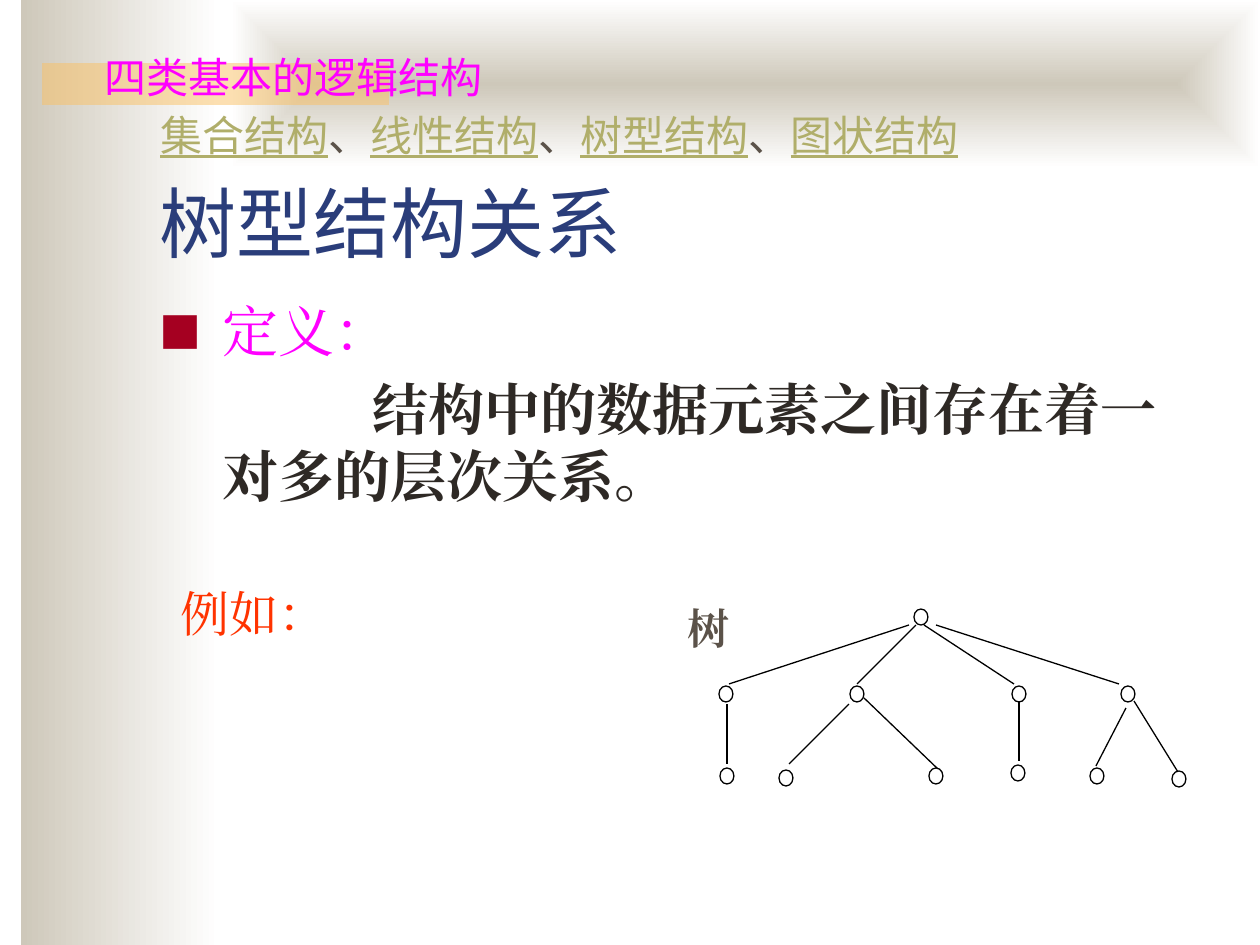
from dataclasses import dataclass

from lxml import etree
from pptx import Presentation
from pptx.dml.color import RGBColor
from pptx.enum.shapes import MSO_CONNECTOR as CONN, MSO_SHAPE as SHAPE
from pptx.enum.text import MSO_ANCHOR as ANCHOR
from pptx.oxml import parse_xml
from pptx.oxml.ns import nsdecls, qn
from pptx.util import Pt

PX = 914400 / 126


@dataclass(frozen=True)
class Theme:
    """Colours, fonts and type sizes of the slide."""
    sand: str = "CEC8BA"
    white: str = "FFFFFF"
    amber: str = "FAC164"
    navy: str = "2A3D7A"
    magenta: str = "FF00FF"
    crimson: str = "A50021"
    ink: str = "2E2925"
    brown: str = "5B5249"
    olive: str = "B0AE6A"
    orange: str = "FF3300"
    black: str = "000000"
    sans: str = "Noto Sans CJK SC"
    serif: str = "Times New Roman"
    header: str = "Arial"
    title_size: int = 44
    body_size: int = 32
    example_size: int = 28
    small_size: int = 24


T = Theme()
rgb = RGBColor.from_string


def box(*lengths):
    """Turn pixel lengths into EMU."""
    return [round(n * PX) for n in lengths]


def style(p, size, name, color, bold=False, before=0):
    """Set the font of a paragraph and its space before, in points."""
    f = p.font
    f.size, f.name, f.bold = Pt(size), name, bold
    f.color.rgb = rgb(color)
    etree.SubElement(f._element, qn("a:ea"), typeface=name)
    p.space_before = Pt(before)


prs = Presentation()
prs.slide_width, prs.slide_height = box(1260, 945)
s = prs.slides.add_slide(prs.slide_layouts[5])

# Backdrop
bands = []
for area in [(21, 0, 199, 945), (231, 0, 1029, 168), (42, 63, 347, 42)]:
    sp = s.shapes.add_shape(SHAPE.RECTANGLE, *box(*area))
    sp.shadow.inherit = False
    sp.line.fill.background()
    bands.append(sp)
side, top, accent = bands
for sp in (side, top):
    sp.fill.gradient()
    for stop, color, pos in zip(sp.fill.gradient_stops, (T.sand, T.white), (0, 1)):
        stop.color.rgb, stop.position = rgb(color), pos
side.fill.gradient_angle = 0
lin = top._element.spPr.find(".//" + qn("a:lin"))
lin.getparent().replace(lin, parse_xml(
    f'<a:path {nsdecls("a")} path="shape">'
    '<a:fillToRect l="50000" t="50000" r="50000" b="50000"/></a:path>'))
accent.fill.solid()
accent.fill.fore_color.rgb = rgb(T.amber)
accent_color = accent._element.spPr.find(".//" + qn("a:srgbClr"))
etree.SubElement(accent_color, qn("a:alpha"), val="50000")

# Title
title = s.shapes.title
s.shapes._spTree.append(title._element)
title.left, title.top, title.width, title.height = box(147, 116, 1071, 158)
tf = title.text_frame
tf.text = "树型结构关系"
tf.vertical_anchor = ANCHOR.BOTTOM
p = tf.paragraphs[0]
style(p, T.title_size, T.sans, T.navy)
p._p.get_or_add_pPr().set("algn", "l")

# Definition
tf = s.shapes.add_textbox(*box(147, 290, 1071, 255)).text_frame
tf.word_wrap = True
tf.text = "定义：\n结构中的数据元素之间存在着一对多的层次关系。"
term, meaning = tf.paragraphs
style(term, T.body_size, T.serif, T.magenta, before=6.4)
style(meaning, T.body_size, T.serif, T.ink, bold=True, before=6.4)
for p, indent in ((term, -63), (meaning, 150)):
    pPr = p._p.get_or_add_pPr()
    for key, n in zip(("marL", "indent"), box(63, indent)):
        pPr.set(key, str(n))
default_font = term._p.pPr.find(qn("a:defRPr"))
for tag in (f'buClr {nsdecls("a")}><a:srgbClr val="{T.crimson}"/></a:buClr>',
            f'buSzPct {nsdecls("a")} val="75000"/>',
            f'buFont {nsdecls("a")} typeface="{T.sans}"/>',
            f'buChar {nsdecls("a")} char="■"/>'):
    default_font.addprevious(parse_xml("<a:" + tag))

# Example
tf = s.shapes.add_textbox(*box(168, 577, 242, 72)).text_frame
tf.word_wrap = True
tf.text = "例如："
style(tf.paragraphs[0], T.example_size, T.serif, T.orange)

# Tree
tree = s.shapes.add_group_shape().shapes
edges = [(909, 625, 729, 684), (936, 625, 1119, 684), (916, 625, 857, 684),
         (924, 625, 1014, 684), (727, 704, 727, 764), (849, 704, 789, 764),
         (864, 698, 939, 770), (1019, 702, 1019, 761), (1126, 708, 1096, 766),
         (1134, 701, 1178, 772)]
nodes = [(921, 617), (726, 694), (857, 694), (1019, 694), (1128, 694), (727, 776),
         (786, 778), (936, 776), (1018, 773), (1097, 776), (1179, 779)]
for edge in edges:
    line = tree.add_connector(CONN.STRAIGHT, *box(*edge))
    line.line.color.rgb, line.line.width = rgb(T.black), Pt(0.75)
    etree.SubElement(line._element.spPr, qn("a:effectLst"))
for x, y in nodes:
    sp = tree.add_shape(SHAPE.OVAL, *box(x - 7, y - 8, 14, 16))
    sp.shadow.inherit = False
    sp.fill.solid()
    sp.fill.fore_color.rgb = rgb(T.white)
    sp.line.color.rgb, sp.line.width = rgb(T.black), Pt(0.75)
tf = tree.add_textbox(*box(675, 596, 84, 88)).text_frame
tf.word_wrap = True
tf.text = "树"
style(tf.paragraphs[0], T.small_size, T.serif, T.brown, bold=True)

# Header with the list of structures
tf = s.shapes.add_textbox(*box(92, 45, 1063, 125)).text_frame
tf.word_wrap = True
tf.text = "四类基本的逻辑结构"
style(tf.paragraphs[0], T.small_size, T.header, T.magenta, before=4.8)
p = tf.add_paragraph()
style(p, T.small_size, T.header, T.brown, before=4.8)
p._p.pPr.set("marL", str(box(56)[0]))
p._p.pPr.set("indent", "0")
for i, kind in enumerate(["集合结构", "线性结构", "树型结构", "图状结构"]):
    if i:
        p.add_run().text = "、"
    r = p.add_run()
    r.text = kind
    r.font.underline = True
    r.font.color.rgb = rgb(T.olive)

prs.save("out.pptx")
